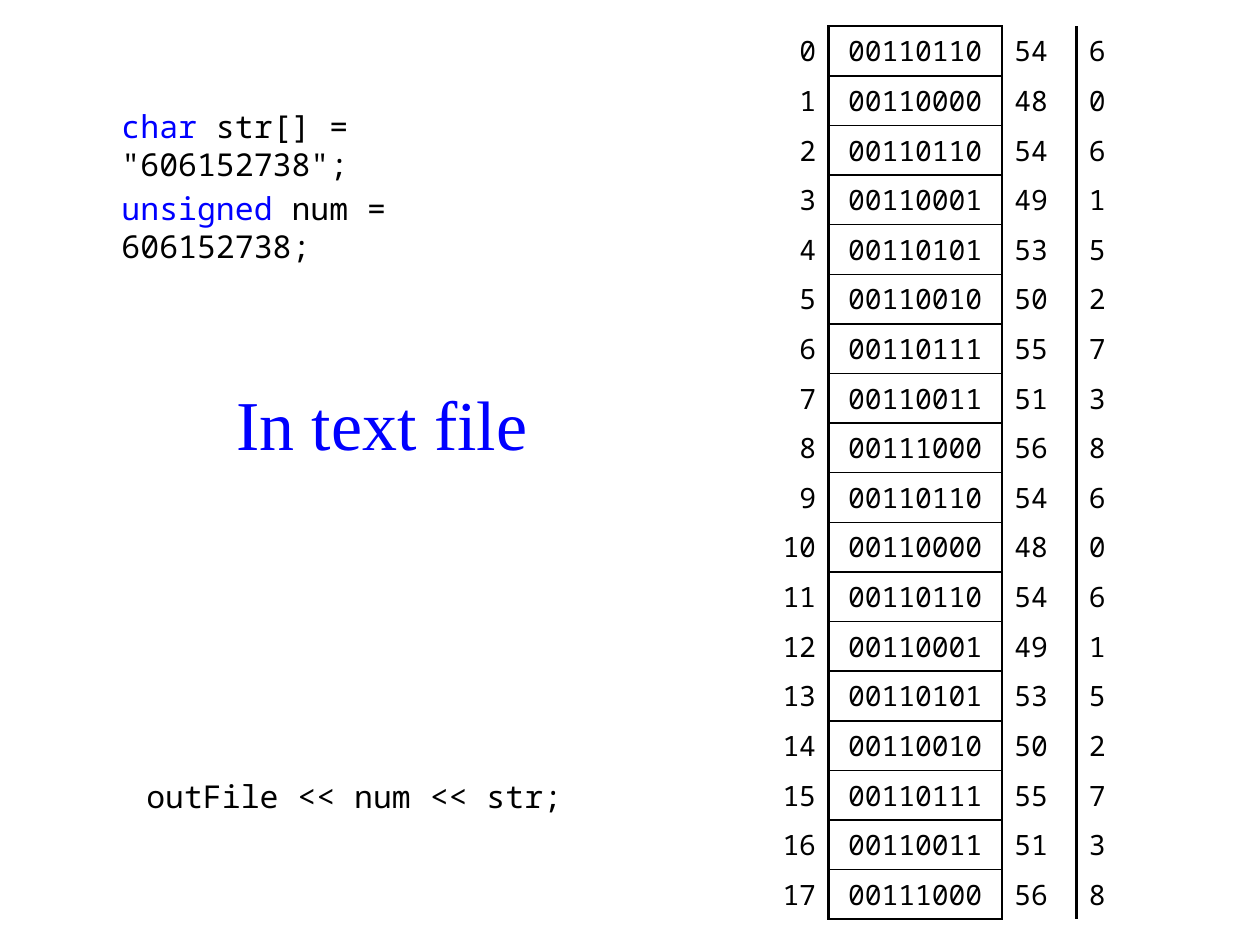
from lxml import etree
from pptx import Presentation
from pptx.dml.color import RGBColor
from pptx.enum.text import MSO_ANCHOR, PP_ALIGN
from pptx.oxml.ns import qn
from pptx.util import Cm, Pt

LEFT, CENTER, RIGHT = PP_ALIGN.LEFT, PP_ALIGN.CENTER, PP_ALIGN.RIGHT
TOP, MIDDLE = MSO_ANCHOR.TOP, MSO_ANCHOR.MIDDLE
COLORS = {"black": "000000", "blue": "0000FF"}
MONO, SERIF = "Noto Sans Mono", "Times New Roman"
NO_TABLE_STYLE = "{2D5ABB26-0587-4C30-8999-92F81FD0307C}"


def write_text(text_frame, lines, font=MONO, size=18, align=LEFT):
    """Write each line as a paragraph of (text, color) runs."""
    for index, runs in enumerate(lines):
        paragraph = text_frame.paragraphs[0] if index == 0 else text_frame.add_paragraph()
        paragraph.alignment = align
        if index:
            paragraph.space_before = Pt(size * 0.2)
        for text, color in runs:
            run = paragraph.add_run()
            run.text = text
            run.font.name = font
            run.font.size = Pt(size)
            run.font.color.rgb = RGBColor.from_string(COLORS[color])


def add_border(cell, side, width):
    line = etree.SubElement(cell._tc.get_or_add_tcPr(), qn(f"a:ln{side}"), w=str(Pt(width)))
    fill = etree.SubElement(line, qn("a:solidFill"))
    etree.SubElement(fill, qn("a:srgbClr"), val=COLORS["black"])


presentation = Presentation()
presentation.slide_width, presentation.slide_height = Cm(25.4), Cm(19.05)
slide = presentation.slides.add_slide(presentation.slide_layouts[6])

# Memory table: address, bits, character code, character
digits = "606152738" * 2
column_widths = [1.5, 3.5, 1.5, 1]
alignments = [RIGHT, CENTER, LEFT, LEFT]
frame = slide.shapes.add_table(len(digits), len(column_widths), Cm(15.2), Cm(0.53),
                               Cm(sum(column_widths)), Cm(len(digits)))
table = frame.table
table.first_row = table.horz_banding = False
table._tbl.tblPr.find(qn("a:tableStyleId")).text = NO_TABLE_STYLE
for column, width in zip(table.columns, column_widths):
    column.width = Cm(width)

last_row = len(digits) - 1
for row, digit in enumerate(digits):
    table.rows[row].height = Cm(1)
    code = ord(digit)
    borders = [
        {"R": 1.5},
        {"L": 1.5, "R": 1.5, "T": 1 if row else 1.5, "B": 1 if row < last_row else 1.5},
        {"L": 1.5},
        {},
    ]
    for column, text in enumerate([str(row), f"{code:08b}", str(code), digit]):
        cell = table.cell(row, column)
        cell.vertical_anchor = MIDDLE
        cell.margin_left = cell.margin_right = Cm(0.25)
        cell.margin_top = cell.margin_bottom = Cm(0.1)
        for side, width in borders[column].items():
            add_border(cell, side, width)
        cell.fill.background()
        write_text(cell.text_frame, [[(text, "black")]], size=16, align=alignments[column])

# Title, output statement and declarations
title = [[("In text file", "blue")]]
output = [[("outFile << num << str;", "black")]]
declarations = [
    [("char ", "blue"), ('str[] = "606152738";', "black")],
    [("unsigned ", "blue"), ("num = 606152738;", "black")],
]
text_boxes = [
    (3.7, 7.52, 8, 2, MIDDLE, title, {"font": SERIF, "size": 40, "align": CENTER}),
    (2.7, 15.53, 10, 1.5, TOP, output, {}),
    (2.2, 2.03, 10, 2, TOP, declarations, {}),
]
for left, top, width, height, anchor, lines, text_format in text_boxes:
    shape = slide.shapes.add_textbox(Cm(left), Cm(top), Cm(width), Cm(height))
    shape.text_frame.word_wrap = True
    shape.text_frame.vertical_anchor = anchor
    write_text(shape.text_frame, lines, **text_format)

presentation.save("out.pptx")
